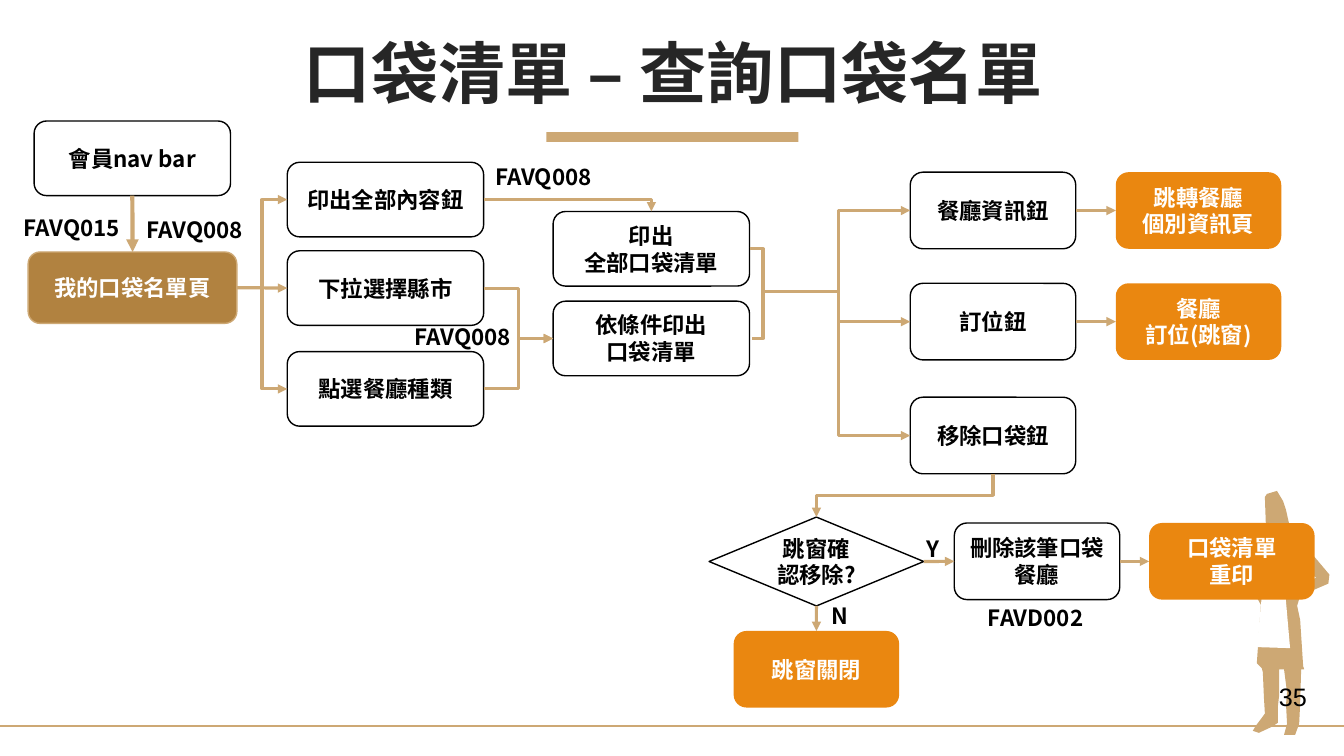
from lxml.etree import SubElement
from pptx import Presentation
from pptx.dml.color import RGBColor
from pptx.enum.shapes import MSO_CONNECTOR, MSO_SHAPE
from pptx.enum.text import MSO_ANCHOR, PP_ALIGN
from pptx.oxml.ns import qn
from pptx.util import Cm, Pt

TAN, BROWN, ORANGE = "CDA874", "B18240", "EA8710"
BLACK, WHITE, CHARCOAL = "000000", "FFFFFF", "262626"
CJK = "Noto Sans CJK SC"
WIDE, SMALL = (4.95, 1.88), (4.17, 1.93)
TOP, LEFT, BOTTOM, RIGHT = range(4)

FIGURE = [
    (1198, 570), (1232, 570), (1223, 575), (1235, 579), (1250, 568), (1256, 545),
    (1263, 536), (1258, 529), (1256, 522), (1255, 493), (1257, 490), (1267, 487),
    (1273, 497), (1276, 506), (1280, 524), (1277, 533), (1285, 541), (1303, 551),
    (1319, 570), (1318, 579), (1290, 591), (1287, 601), (1290, 615), (1293, 661),
    (1294, 664), (1291, 664), (1290, 698), (1289, 718), (1285, 729), (1274, 729),
    (1277, 718), (1276, 699), (1277, 687), (1274, 664), (1269, 664), (1269, 691),
    (1268, 700), (1268, 717), (1262, 721), (1249, 727), (1243, 725), (1246, 720),
    (1255, 708), (1254, 691), (1253, 667), (1252, 663), (1247, 658), (1251, 600),
    (1245, 589), (1209, 577), (1198, 573)]
ARM_GAP = [(1284, 583), (1292, 581), (1306, 573), (1290, 563), (1286, 570)]
SHIRT = [
    (1281, 539), (1273, 557), (1256, 557), (1259, 544), (1256, 545), (1253, 560),
    (1253, 581), (1247, 642), (1280, 643), (1275, 586), (1284, 586), (1283, 584),
    (1275, 583), (1275, 558), (1283, 541)]


def rgb(code):
    """Turn a hex string into a colour."""
    return RGBColor.from_string(code)


class FlowSlide:
    """Draws the elements of a flow chart on one slide."""

    def __init__(self, prs):
        """Add a title-only slide."""
        self.s = prs.slides.add_slide(prs.slide_layouts[5])
        self.shapes = self.s.shapes

    def set_text(self, tf, text, size=16, color=BLACK, font=CJK, bold=True, align=PP_ALIGN.CENTER):
        """Put one formatted paragraph in a text frame."""
        p = tf.paragraphs[0]
        p.text, p.alignment = text, align
        p.font.size, p.font.bold, p.font.name = Pt(size), bold, font
        p.font.color.rgb = rgb(color)
        SubElement(p._p.pPr.find(qn("a:defRPr")), qn("a:ea"), typeface=font)
        return p

    def title(self, text, x, y, w, h):
        """Place and format the title."""
        sp = self.shapes.title
        sp.left, sp.top, sp.width, sp.height = Cm(x), Cm(y), Cm(w), Cm(h)
        sp.text_frame.vertical_anchor = MSO_ANCHOR.MIDDLE
        p = self.set_text(sp.text_frame, text, 48, CHARCOAL)
        p.line_spacing, p.space_before = 0.9, Pt(10)

    def paint(self, sp, fill, line=None):
        """Set fill and outline without a shadow."""
        sp.shadow.inherit = False
        sp.fill.solid()
        sp.fill.fore_color.rgb = rgb(fill)
        if line:
            sp.line.color.rgb, sp.line.width = rgb(line), Pt(1)
        else:
            sp.line.fill.background()

    def box(self, text, x, y, size, fill=WHITE, line=None, kind=MSO_SHAPE.ROUNDED_RECTANGLE):
        """Add a flow chart shape."""
        sp = self.shapes.add_shape(kind, Cm(x), Cm(y), Cm(size[0]), Cm(size[1]))
        self.paint(sp, fill, BLACK if fill == WHITE else line)
        sp.text_frame.vertical_anchor = MSO_ANCHOR.MIDDLE
        if text:
            self.set_text(sp.text_frame, text, color=BLACK if fill == WHITE else WHITE)
        return sp

    def label(self, text, x, y, w, h=0.94, **style):
        """Add an unwrapped text box."""
        tf = self.shapes.add_textbox(Cm(x), Cm(y), Cm(w), Cm(h)).text_frame
        tf.word_wrap = False
        self.set_text(tf, text, **style)

    def outline(self, fill, *contours):
        """Add a freeform with points in hundredths of an inch."""
        fb = self.shapes.build_freeform(*contours[0][0], scale=Cm(0.0254))
        for i, points in enumerate(contours):
            if i:
                fb.move_to(*points[0])
            fb.add_line_segments(points[1:], close=True)
        self.paint(fb.convert_to_shape(), fill)

    def line(self, start, end, kind=MSO_CONNECTOR.STRAIGHT, width=2.25, arrow=True):
        """Add a connector between two points in cm."""
        c = self.shapes.add_connector(kind, *(Cm(v) for v in (*start, *end)))
        c.line.color.rgb, c.line.width = rgb(TAN), Pt(width)
        if arrow:
            SubElement(c._element.spPr.find(qn("a:ln")), qn("a:tailEnd"), type="triangle")
        SubElement(c._element.spPr, qn("a:effectLst"))
        return c

    def join(self, a, b, side=RIGHT, width=2.25):
        """Join facing sides of two shapes with a straight arrow."""
        c = self.line((0, 0), (1, 1), width=width)
        c.begin_connect(a, side)
        c.end_connect(b, (side + 2) % 4)

    def elbow(self, start, end, turn=0.5, preset="bentConnector3", arrow=True):
        """Add a bent connector that leaves horizontally."""
        c = self.line(start, end, MSO_CONNECTOR.ELBOW, arrow=arrow)
        geom = c._element.spPr.find(qn("a:prstGeom"))
        geom.set("prst", preset)
        if preset == "bentConnector3":
            av = geom.find(qn("a:avLst"))
            SubElement(av, qn("a:gd"), name="adj1", fmla=f"val {round(turn * 100000)}")
        return c

    def drop(self, start, end):
        """Add a bent arrow that goes down, left and down."""
        (x1, y1), (x2, y2) = start, end
        cx, cy, w, h = (x1 + x2) / 2, (y1 + y2) / 2, y2 - y1, x1 - x2
        c = self.elbow((cx - w / 2, cy - h / 2), (cx + w / 2, cy + h / 2))
        c._element.spPr.find(qn("a:xfrm")).set("rot", "5400000")


def middle(sp, side):
    """Return the middle of a shape's side in cm."""
    x, y, w, h = (v.cm for v in (sp.left, sp.top, sp.width, sp.height))
    return {TOP: (x + w / 2, y), LEFT: (x, y + h / 2),
            BOTTOM: (x + w / 2, y + h), RIGHT: (x + w, y + h / 2)}[side]


def main():
    """Build the slide."""
    prs = Presentation()
    prs.slide_width, prs.slide_height = Cm(33.87), Cm(19.05)
    f = FlowSlide(prs)

    f.title("口袋清單 – 查詢口袋名單", 0.89, 0.94, 32.16, 2.01)
    f.box("", 13.77, 3.33, (6.35, 0.25), TAN, kind=MSO_SHAPE.RECTANGLE)
    f.line((0, 18.29), (33.87, 18.29), width=1.5, arrow=False)
    f.outline(TAN, FIGURE, ARM_GAP)
    f.outline(WHITE, SHIRT)

    nav = f.box("會員nav bar", 0.86, 3.05, WIDE)
    page = f.box("我的口袋名單頁", 0.71, 6.35, (5.26, 1.8), BROWN, TAN)
    show_all, county, cuisine = [
        f.box(text, 7.24, y, WIDE) for text, y in
        (("印出全部內容鈕", 4.09), ("下拉選擇縣市", 6.32), ("點選餐廳種類", 8.86))]
    all_list, some_list = [
        f.box(text, 13.94, y, WIDE) for text, y in
        (("印出\n全部口袋清單", 5.33), ("依條件印出\n口袋清單", 7.59))]
    info, booking, remove = [
        f.box(text, 22.94, y, SMALL) for text, y in
        (("餐廳資訊鈕", 4.34), ("訂位鈕", 7.14), ("移除口袋鈕", 10.01))]
    info_page, popup = [
        f.box(text, 28.12, y, SMALL, ORANGE) for text, y in
        (("跳轉餐廳\n個別資訊頁", 4.34), ("餐廳\n訂位(跳窗)", 7.14))]
    confirm = f.box("跳窗確認移除?", 17.87, 13.03, (5.41, 2.24), kind=MSO_SHAPE.FLOWCHART_DECISION)
    delete = f.box("刪除該筆口袋餐廳", 24.05, 13.18, SMALL)
    reprint = f.box("口袋清單\n重印", 28.96, 13.18, SMALL, ORANGE)
    close = f.box("跳窗關閉", 18.49, 15.9, SMALL, ORANGE)

    f.join(nav, page, BOTTOM, 3)
    f.join(confirm, close, BOTTOM)
    for a, b in ((page, county), (info, info_page), (booking, popup),
                 (confirm, delete), (delete, reprint)):
        f.join(a, b)
    for a, b in ((page, show_all), (page, cuisine), (county, some_list), (cuisine, some_list)):
        f.elbow(middle(a, RIGHT), middle(b, LEFT))
    f.elbow(middle(show_all, RIGHT), middle(all_list, TOP), preset="bentConnector2")
    x, y = middle(some_list, RIGHT)
    f.elbow(middle(all_list, RIGHT), (x + 0.05, y), turn=6.8, arrow=False)
    for target in (info, booking, remove):
        f.elbow((19.25, 7.34), middle(target, LEFT), turn=0.51)
    f.drop(middle(remove, BOTTOM), middle(confirm, TOP))

    for text, x, y in (("FAVQ015", 0.3, 5.26), ("FAVQ008", 3.4, 5.31), ("FAVQ008", 10.16, 8.03),
                       ("FAVQ008", 12.19, 3.99), ("FAVD002", 24.59, 15.09)):
        f.label(text, x, y, 3.02)
    f.label("Y", 23.11, 13.36, 0.86, align=PP_ALIGN.LEFT)
    f.label("N", 20.7, 15.04, 0.99, align=PP_ALIGN.LEFT)
    f.label("35", 31.98, 17.04, 1.22, 1.02, size=18, font="Arial", bold=False, align=PP_ALIGN.LEFT)
    prs.save("out.pptx")


if __name__ == "__main__":
    main()
